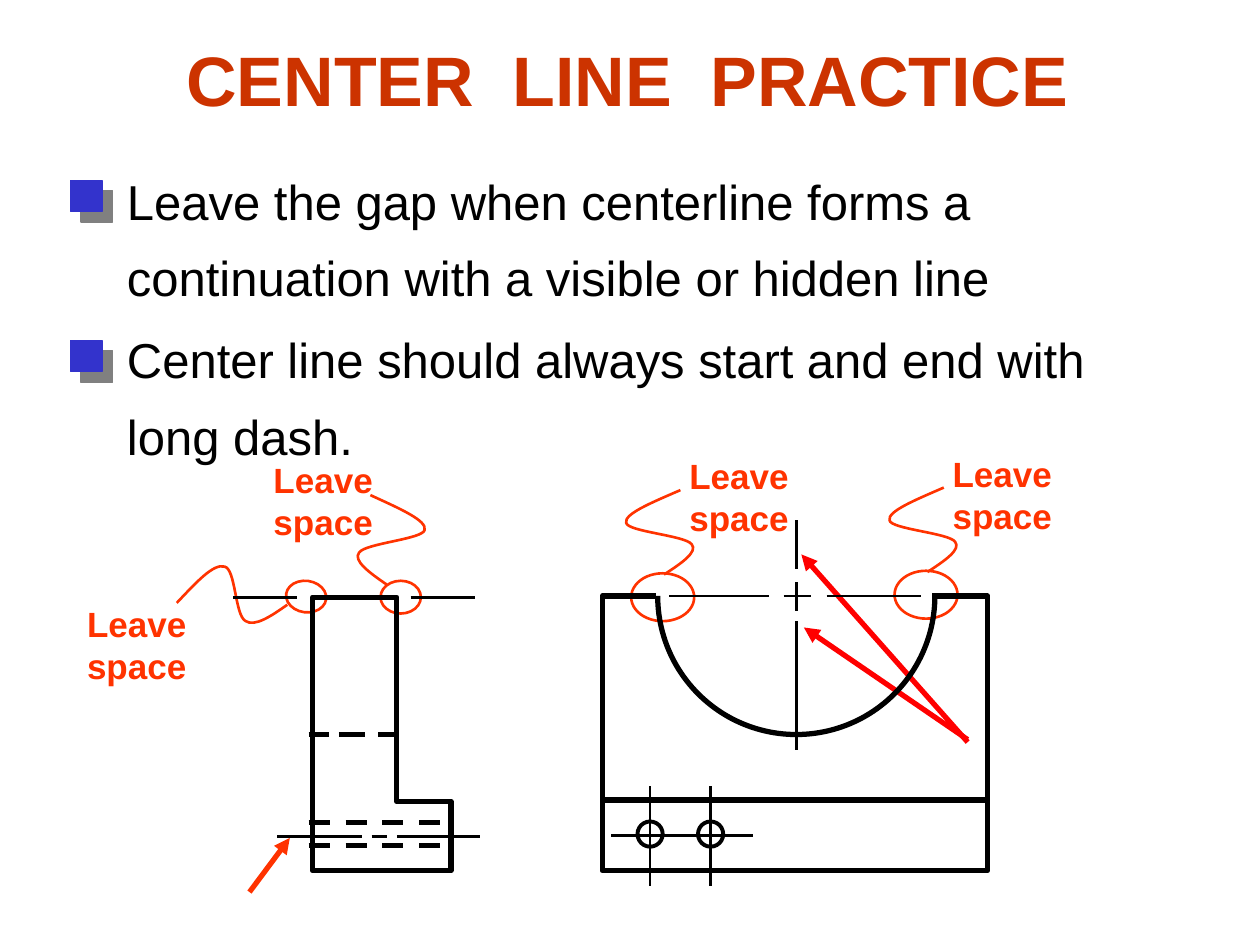
from math import cos, radians, sin
from typing import NamedTuple

from lxml.etree import SubElement
from pptx import Presentation
from pptx.dml.color import RGBColor
from pptx.enum.dml import MSO_LINE
from pptx.enum.shapes import MSO_CONNECTOR, MSO_SHAPE as Preset
from pptx.enum.text import MSO_ANCHOR, PP_ALIGN
from pptx.oxml.ns import qn
from pptx.util import Inches, Pt

BLACK = RGBColor(0x00, 0x00, 0x00)
BLUE = RGBColor(0x33, 0x33, 0xCC)
ORANGE = RGBColor(0xFF, 0x33, 0x00)
RED = RGBColor(0xFF, 0x00, 0x00)
RUST = RGBColor(0xCC, 0x33, 0x00)

# The slide is a grid of 100 columns by 75 rows
COLUMNS, ROWS = 100, 75
CELL = Inches(0.1)
THIN, MEDIUM, THICK = 1.5, 2.25, 3
# One degree of an arc's adjustment: 60000 units, counted in 100000ths
DEGREE = 0.6

Point = tuple[float, float]


class Box(NamedTuple):
    col: float
    row: float
    cols: float
    rows: float


class Stroke(NamedTuple):
    start: Point
    end: Point
    weight: float = THIN
    color: RGBColor = BLACK
    dashed: bool = False
    arrow: bool = False


class Bullet(NamedTuple):
    lines: list[str]
    text_row: float
    marker_row: float


class Callout(NamedTuple):
    label: Point
    gap: Box
    leader: Point
    stretch: Point = (1, 1)
    leader_turn: float = 0
    gap_turn: float = 0


# Bezier points of the wavy leader, counted from its start at the gap
WAVE = [(1.4, -0.9), (2.7, -1.8), (2.2, -2.4),
        (1.7, -3.1), (-2.9, -3.4), (-3.0, -4.1),
        (-3.2, -4.8), (-1.0, -5.7), (1.3, -6.7)]

BULLETS = [
    Bullet(["Leave the gap when centerline forms a continuation "
            "with a visible or hidden line"], 11.7, 14.3),
    Bullet(["Center line should always start and end with", "long dash."], 24.3, 27),
]

CALLOUTS = [
    Callout((74.6, 35.4), Box(71, 45.3, 5, 3.8), (73.6, 45.4)),
    Callout((53.7, 35.6), Box(50.1, 45.5, 5, 3.8), (52.7, 45.6)),
    Callout((20.7, 35.9), Box(30.2, 46.1, 3.2, 2.6), (30.7, 46.4), (-1, 1.06)),
    Callout((5.9, 47.3), Box(22.7, 46.1, 3.2, 2.5), (22.8, 48), (-0.78, 1.3), 277.6, 7.6),
]

ARROWS = [
    Stroke((19.8, 70.8), (23, 66.5), THICK, ORANGE, arrow=True),
    Stroke((76.8, 58.7), (63.8, 49.8), THICK, RED, arrow=True),
    Stroke((76.8, 58.9), (63.6, 44), THICK, RED, arrow=True),
]

FRONT_OUTLINE = [(52.1, 47.3), (47.8, 47.3), (47.8, 69.1),
                 (78.4, 69.1), (78.4, 47.3), (74, 47.3)]
SIDE_OUTLINE = [(24.8, 47.4), (31.5, 47.4), (31.5, 63.6),
                (35.8, 63.6), (35.8, 69.1), (24.8, 69.1)]
HOLE_COLUMNS = [51.6, 56.4]
HOLE_ROW, HOLE_SIZE = 66.2, 2


def across(row: float, *spans: Point) -> list[Stroke]:
    return [Stroke((left, row), (right, row)) for left, right in spans]


def down(col: float, *spans: Point) -> list[Stroke]:
    return [Stroke((col, top), (col, bottom)) for top, bottom in spans]


CENTER_LINES = [
    *down(63.2, (41.3, 45.2), (46.2, 48.5), (49.3, 59.5)),
    *across(47.3, (53.1, 61), (62.2, 64.4), (65.6, 73.1)),
    *across(47.4, (18.5, 23.6), (32.6, 37.7)),
    *across(66.3, (48.5, 59.8)),
    *(line for col in HOLE_COLUMNS for line in down(col, (62.4, 70.3))),
    *across(66.4, (22, 28.7), (29.5, 30.7), (31.5, 38.1)),
]
EDGES = [
    Stroke((47.8, 63.5), (78.4, 63.5), THICK),
    *(Stroke((24.5, row), (35.8, row), THICK, dashed=True) for row in (65.3, 67.1)),
    *(Stroke((left, 58.3), (right, 58.3), THICK)
      for left, right in ((24.5, 26.1), (26.9, 29), (30, 31.6))),
]


def grid(*cells: float) -> list[int]:
    return [round(cell * CELL) for cell in cells]


def outline(shape, color: RGBColor, weight: float) -> None:
    shape.shadow.inherit = False
    shape.fill.background()
    shape.line.color.rgb = color
    shape.line.width = Pt(weight)


def add_preset(slide, preset: Preset, box: Box, color: RGBColor, weight: float):
    shape = slide.shapes.add_shape(preset, *grid(*box))
    outline(shape, color, weight)
    return shape


def add_outline(slide, points: list[Point], color: RGBColor, weight: float,
                closed: bool = False):
    corners = [grid(*point) for point in points]
    builder = slide.shapes.build_freeform(*corners[0])
    builder.add_line_segments(corners[1:], close=closed)
    shape = builder.convert_to_shape()
    outline(shape, color, weight)
    return shape


def add_curve(slide, points: list[Point], color: RGBColor, weight: float) -> None:
    """Turn each three segments of an outline into one Bezier segment."""
    shape = add_outline(slide, points, color, weight)
    segments = list(shape._element.iter(qn("a:lnTo")))
    for index in range(0, len(segments), 3):
        parent = segments[index].getparent()
        bezier = SubElement(parent, qn("a:cubicBezTo"))
        for segment in segments[index:index + 3]:
            bezier.append(segment[0])
            parent.remove(segment)


def add_stroke(slide, stroke: Stroke) -> None:
    line = slide.shapes.add_connector(
        MSO_CONNECTOR.STRAIGHT, *grid(*stroke.start, *stroke.end))
    line.line.color.rgb = stroke.color
    line.line.width = Pt(stroke.weight)
    if stroke.dashed:
        line.line.dash_style = MSO_LINE.DASH
    if stroke.arrow:
        SubElement(line.line._get_or_add_ln(), qn("a:tailEnd"), type="triangle")
    SubElement(line._element.spPr, qn("a:effectLst"))


def add_text(slide, box: Box, paragraphs: list[list[str]], size: float, color: RGBColor,
             bold: bool = False, align: PP_ALIGN = PP_ALIGN.LEFT, spacing: float = 1,
             wrap: bool = True, anchor: MSO_ANCHOR = MSO_ANCHOR.TOP) -> None:
    frame = slide.shapes.add_textbox(*grid(*box)).text_frame
    frame.word_wrap, frame.vertical_anchor = wrap, anchor
    for index, lines in enumerate(paragraphs):
        paragraph = frame.add_paragraph() if index else frame.paragraphs[0]
        for number, line in enumerate(lines):
            if number:
                paragraph.add_line_break()
            paragraph.add_run().text = line
        paragraph.alignment, paragraph.line_spacing = align, spacing
        font = paragraph.font
        font.name, font.size, font.bold = "Arial", Pt(size), bold
        font.color.rgb = color


def add_bullet(slide, bullet: Bullet) -> None:
    add_text(slide, Box(9.1, bullet.text_row, 89.3, 13.2),
             [[line] for line in bullet.lines], 28, BLACK, spacing=1.3)
    marker = add_preset(slide, Preset.RECTANGLE,
                        Box(5.6, bullet.marker_row, 2.5, 2.5), BLUE, 0.75)
    marker.fill.solid()
    marker.fill.fore_color.rgb = BLUE
    effects = marker._element.spPr.find(qn("a:effectLst"))
    shadow = SubElement(effects, qn("a:outerShdw"), dist=str(Pt(8.5)),
                        dir=str(45 * 60000), algn="ctr", rotWithShape="0")
    SubElement(shadow, qn("a:srgbClr"), val="808080")


def add_callout(slide, callout: Callout) -> None:
    gap = add_preset(slide, Preset.OVAL, callout.gap, ORANGE, THIN)
    gap.rotation = callout.gap_turn
    (col, row), (wide, high) = callout.leader, callout.stretch
    c, s = cos(radians(callout.leader_turn)), sin(radians(callout.leader_turn))
    wave = [(col + x * wide * c - y * high * s, row + x * wide * s + y * high * c)
            for x, y in WAVE]
    add_curve(slide, [callout.leader, *wave], ORANGE, THIN)
    add_text(slide, Box(*callout.label, 9.9, 7.7), [["Leave", "space"]], 20, ORANGE,
             bold=True, align=PP_ALIGN.CENTER, wrap=False)


def main() -> None:
    deck = Presentation()
    deck.slide_width, deck.slide_height = COLUMNS * CELL, ROWS * CELL
    slide = deck.slides.add_slide(deck.slide_layouts[6])

    # Title and rules
    add_text(slide, Box(7.3, 0, 85, 12.5), [["CENTER  LINE  PRACTICE"]], 40, RUST,
             bold=True, align=PP_ALIGN.CENTER, anchor=MSO_ANCHOR.MIDDLE)
    for bullet in BULLETS:
        add_bullet(slide, bullet)

    # Gaps to leave, and arrows to the long dashes
    for callout in CALLOUTS:
        add_callout(slide, callout)
    for arrow in ARROWS:
        add_stroke(slide, arrow)

    # Front and side views of the part
    add_outline(slide, FRONT_OUTLINE, BLACK, THICK)
    add_outline(slide, SIDE_OUTLINE, BLACK, THICK, closed=True)
    notch = add_preset(slide, Preset.ARC, Box(52.2, 36.3, 22, 22), BLACK, THICK)
    notch.adjustments[0], notch.adjustments[1] = 0, 180 * DEGREE
    for col in HOLE_COLUMNS:
        add_preset(slide, Preset.OVAL, Box(col - HOLE_SIZE / 2, HOLE_ROW - HOLE_SIZE / 2,
                                           HOLE_SIZE, HOLE_SIZE), BLACK, MEDIUM)
    for stroke in EDGES + CENTER_LINES:
        add_stroke(slide, stroke)

    deck.save("out.pptx")


if __name__ == "__main__":
    main()
